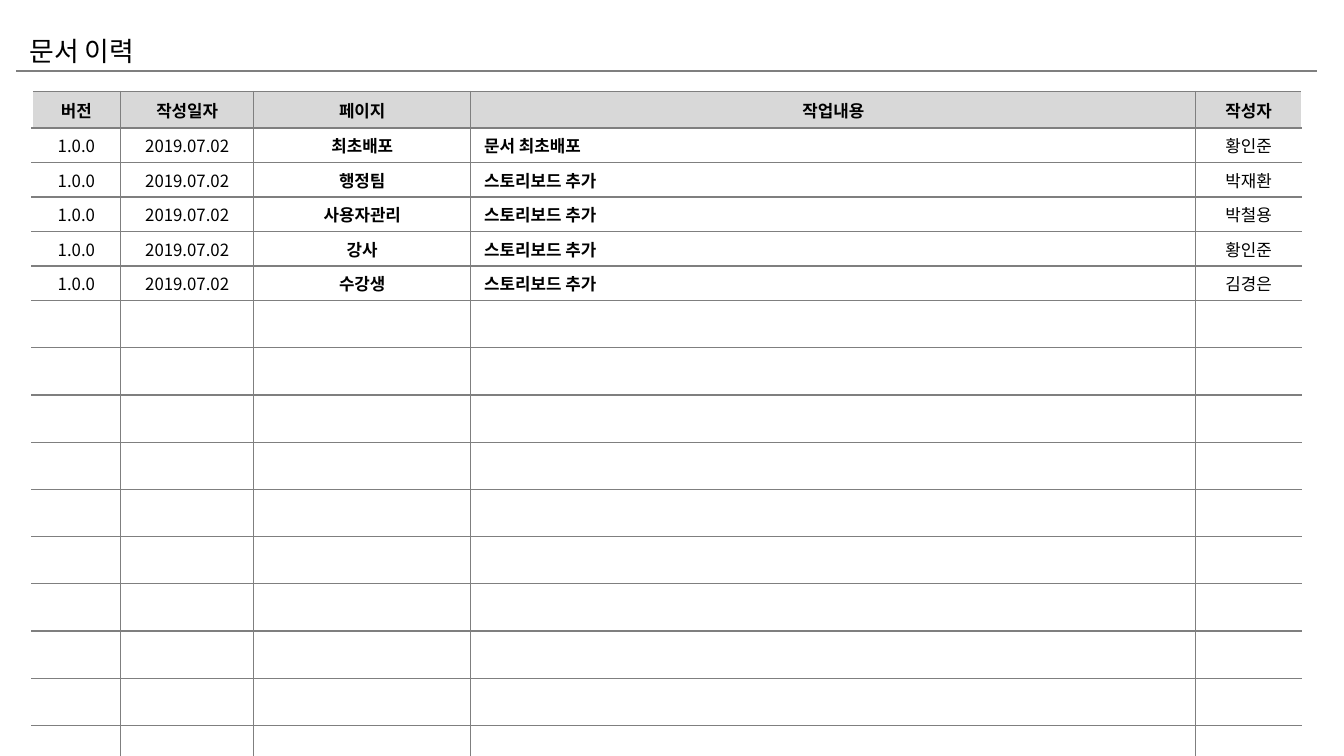
from lxml import etree
from pptx import Presentation
from pptx.dml.color import RGBColor
from pptx.enum.shapes import MSO_CONNECTOR
from pptx.enum.text import MSO_ANCHOR, PP_ALIGN
from pptx.oxml.ns import qn
from pptx.util import Pt

STRAIGHT = MSO_CONNECTOR.STRAIGHT
TOP, MIDDLE = MSO_ANCHOR.TOP, MSO_ANCHOR.MIDDLE
LEFT, CENTER = PP_ALIGN.LEFT, PP_ALIGN.CENTER

BLACK = RGBColor(0x00, 0x00, 0x00)
WHITE = RGBColor(0xFF, 0xFF, 0xFF)
GRAY = RGBColor(0x7F, 0x7F, 0x7F)
SILVER = RGBColor(0xD8, 0xD8, 0xD8)
FONT = "Noto Sans CJK KR"

HEADS = ["버전", "작성일자", "페이지", "작업내용", "작성자"]
WIDTHS = [47.4, 71.3, 116.3, 388.4, 56.6]
ALIGNS = [CENTER, CENTER, CENTER, LEFT, CENTER]
BOLDS = [False, False, True, True, False]
ADDED = "스토리보드 추가"
CHANGES = [
    ("최초배포", "문서 최초배포", "황인준"),
    ("행정팀", ADDED, "박재환"),
    ("사용자관리", ADDED, "박철용"),
    ("강사", ADDED, "황인준"),
    ("수강생", ADDED, "김경은"),
]
SPARE = 10
HEAD_H, TEXT_H, SPARE_H = 19.6, 18.5, 25.3


def style_run(run, size, bold):
    font = run.font
    font.name, font.size, font.bold = FONT, Pt(size), bold
    font.color.rgb = BLACK
    east = etree.SubElement(run._r.get_or_add_rPr(), qn("a:ea"))
    east.set("typeface", FONT)


def add_title(slide, text, x, y, w, h):
    title = slide.shapes.title
    title.left, title.top, title.width, title.height = Pt(x), Pt(y), Pt(w), Pt(h)
    frame = title.text_frame
    frame.text = text
    frame.vertical_anchor = MIDDLE
    frame.margin_left = frame.margin_right = Pt(7.2)
    frame.margin_top = frame.margin_bottom = Pt(3.6)
    para = frame.paragraphs[0]
    para.alignment = LEFT
    style_run(para.runs[0], 14.4, False)


def add_rule(slide, x, y, w):
    rule = slide.shapes.add_connector(STRAIGHT, Pt(x), Pt(y), Pt(x + w), Pt(y))
    rule.line.color.rgb = GRAY
    rule.line.width = Pt(1)
    etree.SubElement(rule._element.spPr, qn("a:effectLst"))


def add_borders(cell, sides):
    props = cell._tc.get_or_add_tcPr()
    for side in sides:
        line = etree.SubElement(props, qn(f"a:ln{side}"), w=str(Pt(0.75)))
        fill = etree.SubElement(line, qn("a:solidFill"))
        etree.SubElement(fill, qn("a:srgbClr"), val=str(GRAY))


def fill_cell(cell, text, align, bold):
    para = cell.text_frame.paragraphs[0]
    if text:
        para.text = text
        para.alignment = align
        style_run(para.runs[0], 9, bold)
    else:
        # A small end mark keeps an empty row from growing.
        etree.SubElement(para._p, qn("a:endParaRPr"), sz="900")


def add_history(slide, x, y):
    """Table of changes, open at the left and right edges."""
    rows = [HEADS]
    rows += [("1.0.0", "2019.07.02", *change) for change in CHANGES]
    rows += [[""] * len(HEADS)] * SPARE
    heights = [HEAD_H] + [TEXT_H] * len(CHANGES) + [SPARE_H] * SPARE
    table = slide.shapes.add_table(
        len(rows), len(HEADS), Pt(x), Pt(y), Pt(sum(WIDTHS)), Pt(sum(heights))
    ).table
    table.first_row = table.horz_banding = False
    for col, width in zip(table.columns, WIDTHS):
        col.width = Pt(width)
    last = len(HEADS) - 1
    for r, (row, height) in enumerate(zip(rows, heights)):
        table.rows[r].height = Pt(height)
        head = r == 0
        for c, text in enumerate(row):
            cell = table.cell(r, c)
            add_borders(cell, "RTB" if c == 0 else "LTB" if c == last else "LRTB")
            cell.fill.solid()
            cell.fill.fore_color.rgb = SILVER if head else WHITE
            cell.margin_left = cell.margin_right = Pt(7.2)
            cell.margin_top = cell.margin_bottom = Pt(2.7)
            cell.vertical_anchor = MIDDLE if head else TOP
            fill_cell(cell, text, CENTER if head else ALIGNS[c], head or BOLDS[c])


def main():
    deck = Presentation()
    deck.slide_width, deck.slide_height = Pt(720), Pt(405)
    slide = deck.slides.add_slide(deck.slide_layouts[5])
    add_rule(slide, 8.6, 38, 697)
    add_title(slide, "문서 이력", 8.6, 16.6, 578, 21.6)
    add_history(slide, 17.2, 49)
    deck.save("out.pptx")


if __name__ == "__main__":
    main()
